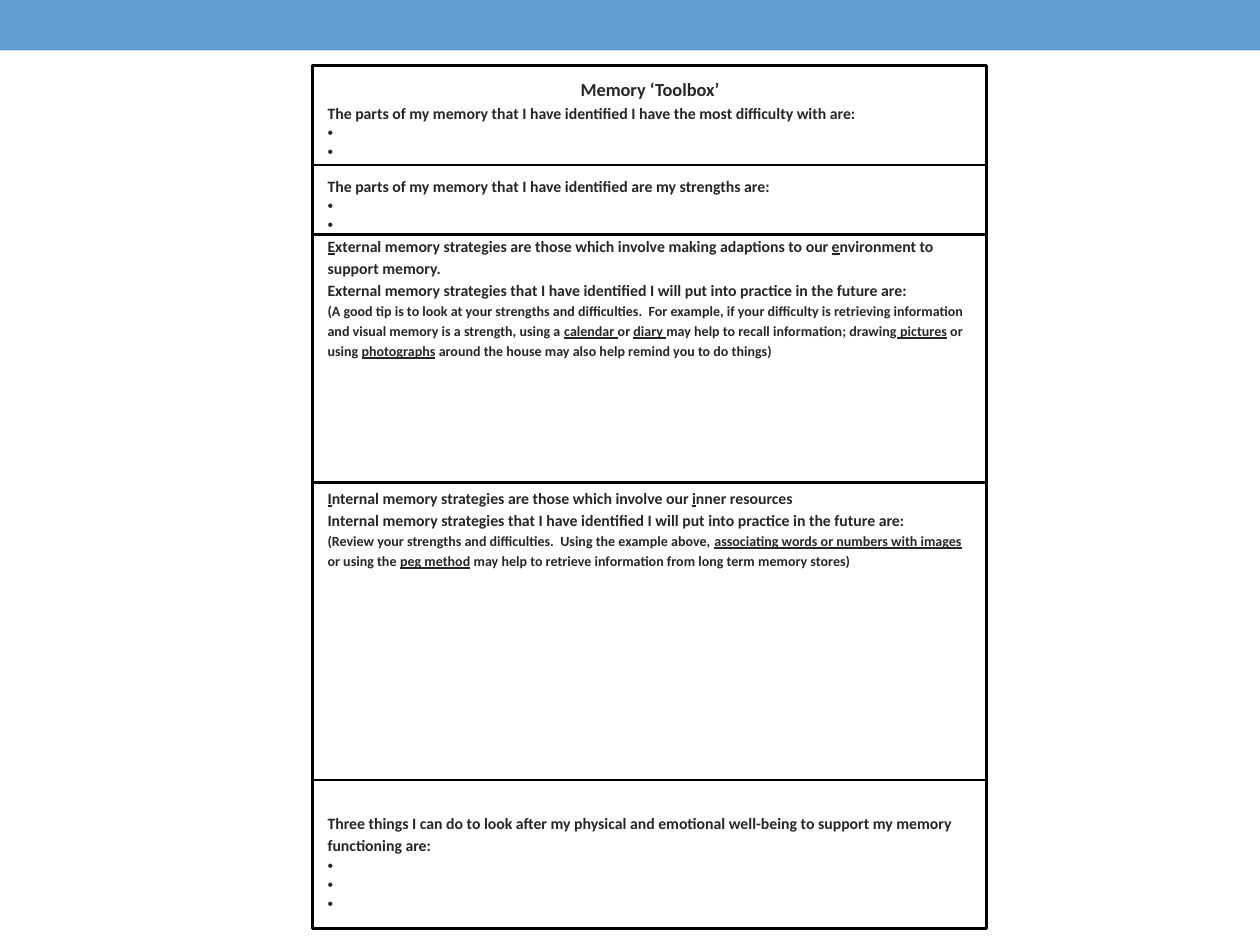
from dataclasses import dataclass

from lxml.etree import SubElement
from pptx import Presentation
from pptx.dml.color import RGBColor
from pptx.enum.shapes import MSO_CONNECTOR, MSO_SHAPE
from pptx.enum.text import PP_ALIGN
from pptx.oxml.ns import qn
from pptx.util import Inches, Pt

COLORS = {"banner": "629DD1", "text": "262626", "rule": "000000", "cell": "FFFFFF"}
FONT = "Calibri"
HEADING, BODY, HINT = 10.5, 9, 8
BLANK_ENTRY = " "


@dataclass(frozen=True)
class Line:
    """A paragraph; words between underscores are underlined."""
    text: str
    size: float = BODY
    centered: bool = False
    bulleted: bool = False


@dataclass(frozen=True)
class Section:
    height: float
    lines: tuple[Line, ...] = ()


ENTRY = Line(BLANK_ENTRY, bulleted=True)
SECTIONS = [
    Section(0.18, (Line("Memory ‘Toolbox’", HEADING, centered=True),)),
    Section(0.58, (
        Line("The parts of my memory that I have identified I have the most difficulty with are:"),
        ENTRY, ENTRY)),
    Section(0.43, (
        Line("The parts of my memory that I have identified are my strengths are:"),
        ENTRY, ENTRY)),
    Section(0.32, (
        Line("_E_xternal memory strategies are those which involve making adaptions "
             "to our _e_nvironment to support memory."),)),
    Section(1.65, (
        Line("External memory strategies that I have identified I will put into practice "
             "in the future are:"),
        Line("(A good tip is to look at your strengths and difficulties.  For example, if your "
             "difficulty is retrieving information and visual memory is a strength, using a "
             "_calendar _or _diary _may help to recall information; drawing_ pictures_ or using "
             "_photographs_ around the house may also help remind you to do things)", HINT))),
    Section(0.16, (
        Line("_I_nternal memory strategies are those which involve our _i_nner resources"),)),
    Section(1.64, (
        Line("Internal memory strategies that I have identified I will put into practice "
             "in the future are:"),
        Line("(Review your strengths and difficulties.  Using the example above, "
             "_associating words or numbers with images_ or using the _peg method_ may help "
             "to retrieve information from long term memory stores)", HINT))),
    Section(0.77),
    Section(0.73, (
        Line("Three things I can do to look after my physical and emotional well-being "
             "to support my memory functioning are:"),
        ENTRY, ENTRY, ENTRY)),
]
TABLE_LEFT, TABLE_TOP, TABLE_WIDTH = 2.56, 0.6, 5.2
FRAME_LEFT, FRAME_TOP, FRAME_WIDTH, FRAME_HEIGHT = 2.48, 0.52, 5.35, 6.85
DIVIDER_TOPS = (1.31, 1.86, 3.83, 6.19)


def color(name: str) -> RGBColor:
    return RGBColor.from_string(COLORS[name])


def add_bullet(paragraph) -> None:
    properties = paragraph._p.get_or_add_pPr()
    properties.set("marL", str(Inches(0.38)))
    properties.set("indent", str(Inches(-0.38)))
    SubElement(properties, qn("a:buFont"), typeface="Arial")
    SubElement(properties, qn("a:buChar"), char="•")


def write_line(paragraph, line: Line) -> None:
    if line.bulleted:
        add_bullet(paragraph)
    else:
        paragraph.line_spacing = 1.15
    paragraph.alignment = PP_ALIGN.CENTER if line.centered else PP_ALIGN.LEFT
    for position, words in enumerate(line.text.split("_")):
        if not words:
            continue
        run = paragraph.add_run()
        run.text = words
        run.font.name = FONT
        run.font.size = Pt(line.size)
        run.font.bold = True
        run.font.underline = position % 2 == 1
        run.font.color.rgb = color("text")


def fill_cell(cell, section: Section) -> None:
    cell.fill.solid()
    cell.fill.fore_color.rgb = color("cell")
    cell.margin_left = cell.margin_right = Inches(0.04)
    cell.margin_top = cell.margin_bottom = Inches(0)
    frame = cell.text_frame
    for position, line in enumerate(section.lines):
        write_line(frame.add_paragraph() if position else frame.paragraphs[0], line)


def add_worksheet(slide) -> None:
    total_height = sum(section.height for section in SECTIONS)
    worksheet = slide.shapes.add_table(
        len(SECTIONS), 1, Inches(TABLE_LEFT), Inches(TABLE_TOP),
        Inches(TABLE_WIDTH), Inches(total_height)).table
    for row, section in zip(worksheet.rows, SECTIONS):
        row.height = Inches(section.height)
        fill_cell(row.cells[0], section)


def add_banner(slide) -> None:
    banner = slide.shapes.add_shape(
        MSO_SHAPE.RECTANGLE, Inches(0), Inches(0), Inches(10), Inches(0.4))
    banner.shadow.inherit = False
    banner.fill.solid()
    banner.fill.fore_color.rgb = color("banner")
    banner.line.fill.background()


def add_frame(slide) -> None:
    border = slide.shapes.add_shape(
        MSO_SHAPE.RECTANGLE, Inches(FRAME_LEFT), Inches(FRAME_TOP),
        Inches(FRAME_WIDTH), Inches(FRAME_HEIGHT))
    border.shadow.inherit = False
    border.fill.background()
    border.line.color.rgb = color("rule")
    border.line.width = Pt(2.08)


def add_divider(slide, top: float) -> None:
    divider = slide.shapes.add_connector(
        MSO_CONNECTOR.STRAIGHT, Inches(FRAME_LEFT), Inches(top),
        Inches(FRAME_LEFT + FRAME_WIDTH), Inches(top))
    divider.line.color.rgb = color("rule")
    divider.line.width = Pt(1.5)
    SubElement(divider._element.spPr, qn("a:effectLst"))


def main() -> None:
    deck = Presentation()
    deck.slide_width, deck.slide_height = Inches(10), Inches(7.5)
    slide = deck.slides.add_slide(deck.slide_layouts[6])
    add_banner(slide)
    add_worksheet(slide)
    add_frame(slide)
    for top in DIVIDER_TOPS:
        add_divider(slide, top)
    deck.save("out.pptx")


if __name__ == "__main__":
    main()
